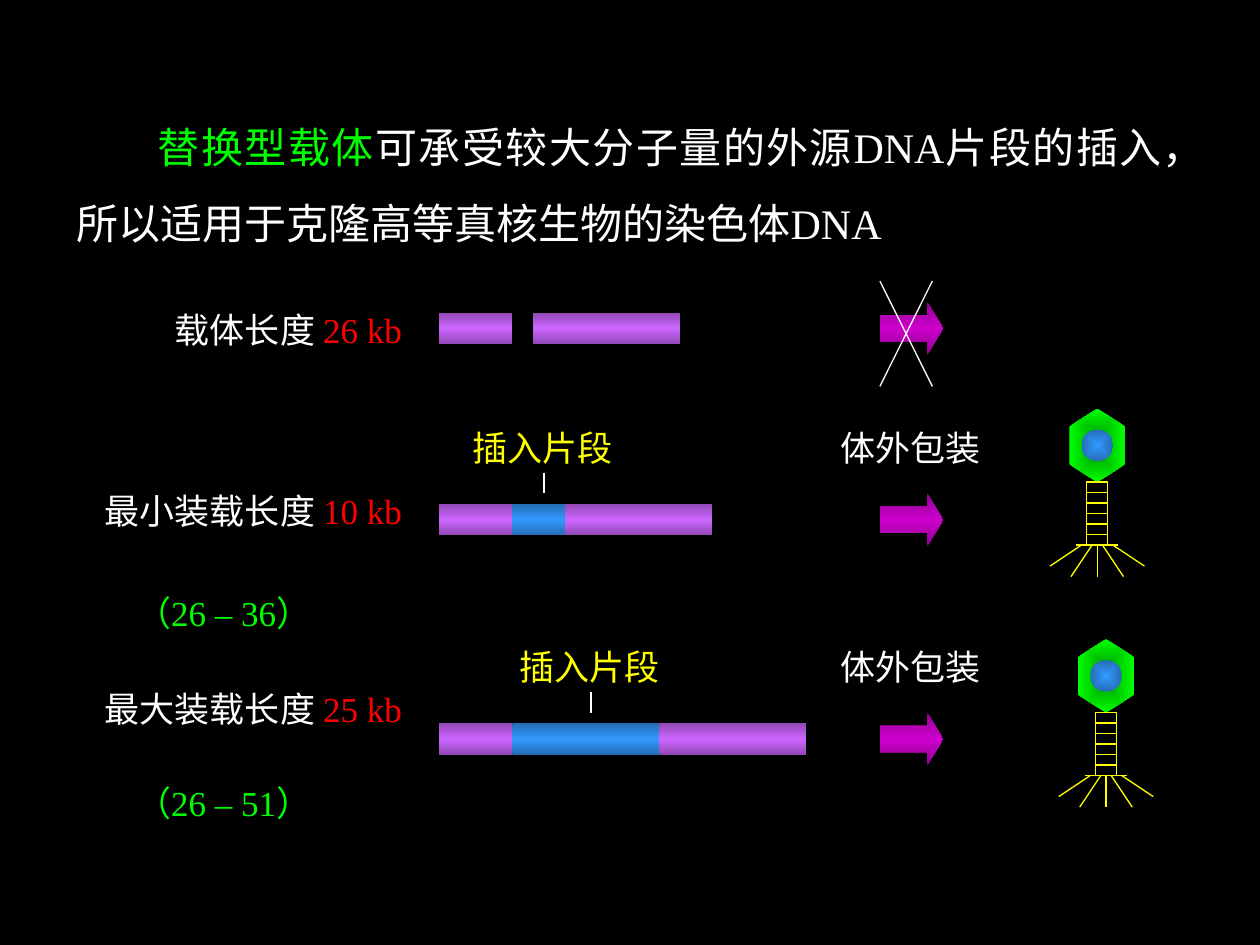
"""Build a slide on the insert capacity of replacement phage vectors."""
from lxml import etree
from pptx import Presentation
from pptx.dml.color import RGBColor
from pptx.enum.shapes import MSO_CONNECTOR, MSO_SHAPE
from pptx.enum.text import PP_ALIGN
from pptx.oxml import parse_xml
from pptx.oxml.ns import nsdecls, qn
from pptx.util import Pt

RECT, ARROW = MSO_SHAPE.RECTANGLE, MSO_SHAPE.DOWN_ARROW
HEXAGON, OVAL = MSO_SHAPE.HEXAGON, MSO_SHAPE.OVAL
LEFT, RIGHT, JUSTIFY = PP_ALIGN.LEFT, PP_ALIGN.RIGHT, PP_ALIGN.JUSTIFY
SERIF, SANS = "Times New Roman", "Arial"
C = {"black": "000000", "white": "FFFFFF", "green": "00FF00", "red": "FF0000",
     "yellow": "FFFF00", "dark_green": "00A500", "violet": "CC66FF",
     "dark_violet": "9249B6", "blue": "3399FF", "dark_blue": "246DB6",
     "magenta": "CC00CC", "dark_magenta": "920092"}
LINEAR = '<a:lin ang="5400000" scaled="1"/>'
RADIAL = '<a:path path="shape"><a:fillToRect l="50000" t="50000" r="50000" b="50000"/></a:path>'

prs = Presentation()
prs.slide_width, prs.slide_height = Pt(720), Pt(540)
s = prs.slides.add_slide(prs.slide_layouts[6])
s.background.fill.solid()
s.background.fill.fore_color.rgb = RGBColor.from_string(C["black"])


def add_text(x, y, w, h, runs, font=SERIF, size=20, align=LEFT):
    tf = s.shapes.add_textbox(Pt(x), Pt(y), Pt(w), Pt(h)).text_frame
    tf.word_wrap = True
    p = tf.paragraphs[0]
    p.alignment, p.line_spacing = align, 1.5
    p.font.name, p.font.size = font, Pt(size)
    for text, color in runs:
        r = p.add_run()
        r.text = text
        r.font.color.rgb = RGBColor.from_string(C[color])
    return p


def add_gradient(kind, x, y, w, h, colors, path=LINEAR, rotation=0):
    sp = s.shapes.add_shape(kind, Pt(x), Pt(y), Pt(w), Pt(h))
    sp.shadow.inherit = False
    sp.rotation = rotation
    sp.line.fill.background()
    step = 100000 // (len(colors) - 1)
    stops = "".join(f'<a:gs pos="{i * step}"><a:srgbClr val="{C[c]}"/></a:gs>'
                    for i, c in enumerate(colors))
    sp._element.spPr.find(qn("a:prstGeom")).addnext(parse_xml(
        f'<a:gradFill rotWithShape="0" {nsdecls("a")}><a:gsLst>{stops}</a:gsLst>{path}</a:gradFill>'))
    return sp


p = add_text(36.7, 51.8, 635, 89.3, [
    ("替换型载体", "green"),
    ("可承受较大分子量的外源DNA片段的插入，所以适用于克隆高等真核生物的染色体DNA", "white"),
], size=24, align=JUSTIFY)
p._p.get_or_add_pPr().set("indent", str(Pt(46.5)))

lines = []
rows = [
    (178.6, 160.6, "载体长度 ", "26 kb", [("violet", 42), (None, 12), ("violet", 84)]),
    (288, 264.2, "最小装载长度 ", "10 kb", [("violet", 42), ("blue", 30), ("violet", 84)]),
    (413.3, 377.3, "最大装载长度 ", "25 kb", [("violet", 42), ("blue", 84), ("violet", 84)]),
]
for bar_y, label_y, label, length, segments in rows:
    add_text(8.6, label_y, 228.2, 48.2, [(label, "white"), (length, "red")], align=RIGHT)
    x = 250.8
    for color, w in segments:
        if color:
            dark = "dark_" + color
            add_gradient(RECT, x, bar_y, w, 18, [dark, color, dark])
        if color == "blue":
            tick = x + w / 2 + 3
            add_text(tick - 48, bar_y - 59.7, 102.2, 48.2, [("插入片段", "yellow")], SANS)
            add_text(473, bar_y - 59.7, 102.2, 48.2, [("体外包装", "white")], SANS)
            lines.append((tick, bar_y - 18, tick, bar_y - 6, "white", None))
        x += w
    sp = add_gradient(ARROW, 506, bar_y - 9, 30, 36,
                      ["dark_magenta", "magenta", "dark_magenta"], rotation=270)
    sp.adjustments[0], sp.adjustments[1] = 0.5, 0.3

lines += [(502.8, 160.6, 532.8, 220.8, "white", None),
          (532.8, 160.6, 502.8, 220.8, "white", None)]

for y, text in [(322.6, "（26 – 36）"), (431.3, "（26 – 51）")]:
    add_text(46.8, y, 138.2, 48.2, [(text, "green")], align=RIGHT)

for cx, cy in [(627, 254.5), (632, 386.2)]:
    head = add_gradient(HEXAGON, cx - 21, cy - 16, 42, 32, ["dark_green", "green"], RADIAL, 270)
    head.adjustments[0] = 0.322
    add_gradient(OVAL, cx - 9, cy - 9, 18, 18, ["blue", "dark_blue"], RADIAL)
    for i in range(6):
        ring = s.shapes.add_shape(RECT, Pt(cx - 6), Pt(cy + 21 + 6 * i), Pt(12), Pt(6))
        ring.shadow.inherit = False
        ring.fill.background()
        ring.line.color.rgb = RGBColor.from_string(C["yellow"])
        ring.line.width = Pt(0.75)
    base = cy + 57
    lines.append((cx - 12, base, cx + 12, base, "yellow", None))
    for x1, x2, drop in [(-9, -27, 12), (9, 27, 12), (0, 0, 18), (-3, -15, 18), (3, 15, 18)]:
        lines.append((cx + x1, base, cx + x2, base + drop, "yellow", None if x1 else ring))

for x1, y1, x2, y2, color, start in lines:
    cn = s.shapes.add_connector(MSO_CONNECTOR.STRAIGHT, Pt(x1), Pt(y1), Pt(x2), Pt(y2))
    if start is not None:
        cn.begin_connect(start, 2)
    cn.line.color.rgb = RGBColor.from_string(C[color])
    cn.line.width = Pt(0.75)
    etree.SubElement(cn._element.spPr, qn("a:effectLst"))

prs.save("out.pptx")
